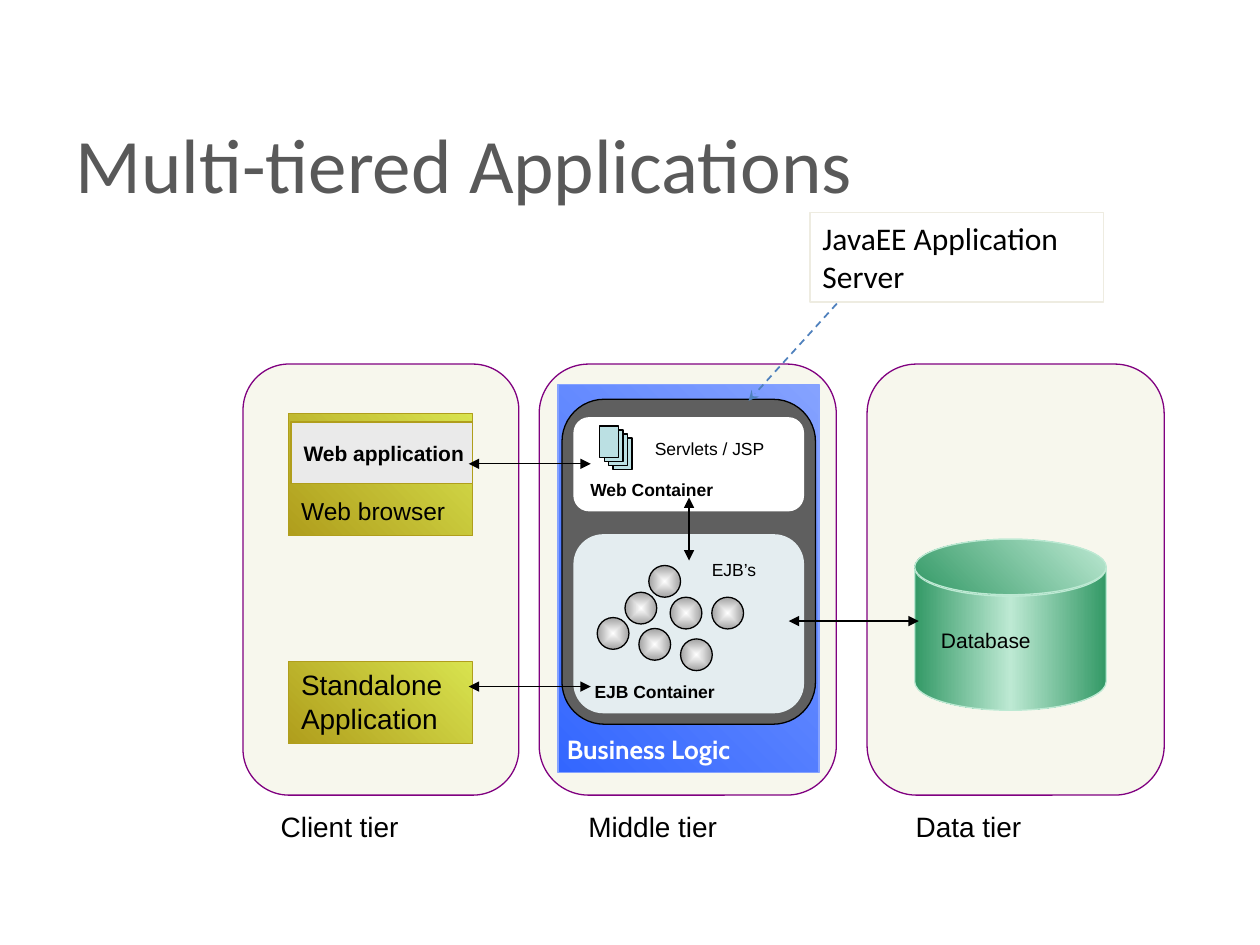
from dataclasses import dataclass

import pptx
import pptx.dml.color
import pptx.enum.dml
import pptx.enum.shapes
import pptx.enum.text
import pptx.oxml
import pptx.oxml.ns
import pptx.util
from lxml import etree

Cm = pptx.util.Cm
Pt = pptx.util.Pt
Kind = pptx.enum.shapes.MSO_SHAPE
Anchor = pptx.enum.text.MSO_ANCHOR
Align = pptx.enum.text.PP_ALIGN
qn = pptx.oxml.ns.qn

BLACK, WHITE = "000000", "FFFFFF"


@dataclass
class Box:
    """Place and size in centimetres."""
    left: float
    top: float
    width: float
    height: float

    def emu(self) -> list:
        return [Cm(n) for n in (self.left, self.top, self.width, self.height)]


@dataclass
class Font:
    size: float
    name: str = "Arial"
    color: str = BLACK
    bold: bool = False


@dataclass
class Fade:
    """Gradient with evenly spaced colours; no angle means from the centre."""
    colors: tuple
    angle: int | None = None


@dataclass
class Link:
    start: tuple
    end: tuple


@dataclass
class Tier:
    name: str
    left: float
    width: float
    label: float


TIERS = [
    Tier("Data tier", 17.48, 5.99, 18.21),
    Tier("Middle tier", 10.87, 5.99, 11.61),
    Tier("Client tier", 4.9, 5.56, 5.41),
]
LINKS = [
    Link((13.89, 10.03), (13.89, 11.3)),
    Link((9.45, 13.84), (11.91, 13.84)),
    Link((9.45, 9.35), (11.91, 9.35)),
    Link((15.9, 12.52), (18.52, 12.52)),
]
BEANS = [(12.6, 11.94), (12.04, 12.45), (13.51, 12.04), (12.88, 12.67),
         (13.72, 12.88), (14.35, 12.04), (13.08, 11.4)]

BLUE = Fade(("85A2FF", "3366FF"), 135)
OLIVE = Fade(("D8E34F", "B09E1C"), 135)
LID = Fade(("BDE9D3", "339966"), 135)
DRUM = Fade(("339966", "BDE9D3", "339966"), 0)
BALL = Fade((WHITE, "A2A2A2"))


def rgb(color: str):
    return pptx.dml.color.RGBColor.from_string(color)


def write(shape, text: str, font: Font, anchor=Anchor.TOP, right=0.25, low=0.13) -> None:
    frame = shape.text_frame
    frame.text = text
    frame.word_wrap = True
    frame.vertical_anchor = anchor
    frame.margin_right, frame.margin_bottom = Cm(right), Cm(low)
    para = frame.paragraphs[0]
    para.alignment = Align.LEFT
    for run in para.runs:
        run.font.size = Pt(font.size)
        run.font.name = font.name
        run.font.bold = font.bold
        run.font.color.rgb = rgb(font.color)


def fade(shape, spec: Fade) -> None:
    shape.fill.gradient()
    grad = shape._element.spPr.find(qn("a:gradFill"))
    for child in list(grad):
        grad.remove(child)
    stops = etree.SubElement(grad, qn("a:gsLst"))
    for i, color in enumerate(spec.colors):
        spot = 100000 * i // (len(spec.colors) - 1)
        stop = etree.SubElement(stops, qn("a:gs"), pos=str(spot))
        etree.SubElement(stop, qn("a:srgbClr"), val=color)
    if spec.angle is None:
        way = etree.SubElement(grad, qn("a:path"), path="shape")
        sides = {side: "50000" for side in "ltrb"}
        etree.SubElement(way, qn("a:fillToRect"), **sides)
    else:
        etree.SubElement(grad, qn("a:lin"), ang=str(spec.angle * 60000), scaled="1")


def draw(slide, kind, box: Box, fill: str | Fade | None, line: str | None = BLACK):
    shape = slide.shapes.add_shape(kind, *box.emu())
    shape.shadow.inherit = False
    if isinstance(fill, Fade):
        fade(shape, fill)
    elif fill:
        shape.fill.solid()
        shape.fill.fore_color.rgb = rgb(fill)
    else:
        shape.fill.background()
    if line:
        shape.line.color.rgb = rgb(line)
        shape.line.width = Pt(0.75)
    else:
        shape.line.fill.background()
    return shape


def label(slide, box: Box, text: str, font: Font) -> None:
    write(slide.shapes.add_textbox(*box.emu()), text, font)


def join(slide, link: Link, color=BLACK, width=0.75, head="triangle", tail="triangle"):
    ends = [Cm(n) for n in link.start + link.end]
    line = slide.shapes.add_connector(pptx.enum.shapes.MSO_CONNECTOR.STRAIGHT, *ends)
    line.line.color.rgb = rgb(color)
    line.line.width = Pt(width)
    stroke = line.line._get_or_add_ln()
    for tag, kind in (("a:headEnd", head), ("a:tailEnd", tail)):
        if kind:
            etree.SubElement(stroke, qn(tag), type=kind)
    etree.SubElement(line._element.spPr, qn("a:effectLst"))
    return line


def tiers(slide) -> None:
    for tier in TIERS:
        box = Box(tier.left, 7.34, tier.width, 8.69)
        draw(slide, Kind.FLOWCHART_ALTERNATE_PROCESS, box, "F7F7ED", "800080")
    for tier in TIERS:
        label(slide, Box(tier.label, 16.2, 4.55, 0.94), tier.name, Font(16))


def client(slide) -> None:
    edge = "B09E1C"
    shape = draw(slide, Kind.RECTANGLE, Box(5.82, 8.33, 3.71, 2.46), OLIVE, edge)
    write(shape, "Web browser", Font(14), Anchor.BOTTOM, low=0.2)
    shape = draw(slide, Kind.RECTANGLE, Box(5.82, 13.34, 3.71, 1.65), OLIVE, edge)
    write(shape, "Standalone Application", Font(16))
    shape = draw(slide, Kind.RECTANGLE, Box(5.87, 8.51, 3.66, 1.24), "EAEAEA", edge)
    write(shape, "Web application", Font(12, bold=True), Anchor.MIDDLE, right=0)


def data(slide) -> None:
    edge = "BDE9D3"
    draw(slide, Kind.FLOWCHART_MAGNETIC_DISK, Box(18.44, 10.87, 3.86, 3.45), DRUM, edge)
    draw(slide, Kind.OVAL, Box(18.44, 10.87, 3.86, 1.12), LID, edge)
    label(slide, Box(18.72, 12.52, 3.1, 0.76), "Database", Font(12))


def server(slide) -> None:
    draw(slide, Kind.RECTANGLE, Box(11.25, 7.75, 5.26, 7.82), BLUE, "85A2FF")
    label(slide, Box(11.18, 14.66, 5.31, 1.45), "Business Logic",
          Font(15, "Cabin", WHITE, True))
    draw(slide, Kind.FLOWCHART_ALTERNATE_PROCESS, Box(11.33, 8.05, 5.11, 6.55), "5F5F5F")
    for text, top, height, fill, low in (("Web Container", 8.41, 1.9, WHITE, 0.13),
                                         ("EJB Container", 10.77, 3.61, "E4EDF0", 0.05)):
        shape = draw(slide, Kind.ROUNDED_RECTANGLE, Box(11.56, top, 4.65, height), fill, None)
        write(shape, text, Font(10, bold=True), Anchor.BOTTOM, low=low)
    for i in reversed(range(4)):
        page = Box(12.09 + 0.09 * i, 8.59 + 0.08 * i, 0.38, 0.64)
        draw(slide, Kind.RECTANGLE, page, "BBE0E3")
    label(slide, Box(12.95, 8.71, 2.74, 0.69), "Servlets / JSP", Font(10))


def main() -> None:
    deck = pptx.Presentation()
    deck.slide_width, deck.slide_height = Cm(25.4), Cm(19.05)
    slide = deck.slides.add_slide(deck.slide_layouts[5])
    title = slide.shapes.title
    title.left, title.top, title.width, title.height = Box(1.27, 1.7, 22.86, 3.18).emu()
    write(title, "Multi-tiered Applications", Font(44, "Calibri", "595959"), Anchor.MIDDLE)
    tiers(slide)
    client(slide)
    data(slide)
    server(slide)
    for link in LINKS:
        join(slide, link)
    note = draw(slide, Kind.RECTANGLE, Box(16.33, 4.29, 5.92, 1.8), None, "EEECE1")
    write(note, "JavaEE Application Server", Font(18, "Calibri"))
    arrow = join(slide, Link((16.87, 6.12), (15.09, 8.08)), "4F81BD", 1, None, "stealth")
    arrow.line.dash_style = pptx.enum.dml.MSO_LINE.DASH
    for left, top in BEANS:
        draw(slide, Kind.OVAL, Box(left, top, 0.64, 0.64), BALL)
    label(slide, Box(14.1, 11.15, 1.8, 0.69), "EJB’s", Font(10))
    deck.save("out.pptx")


if __name__ == "__main__":
    main()
